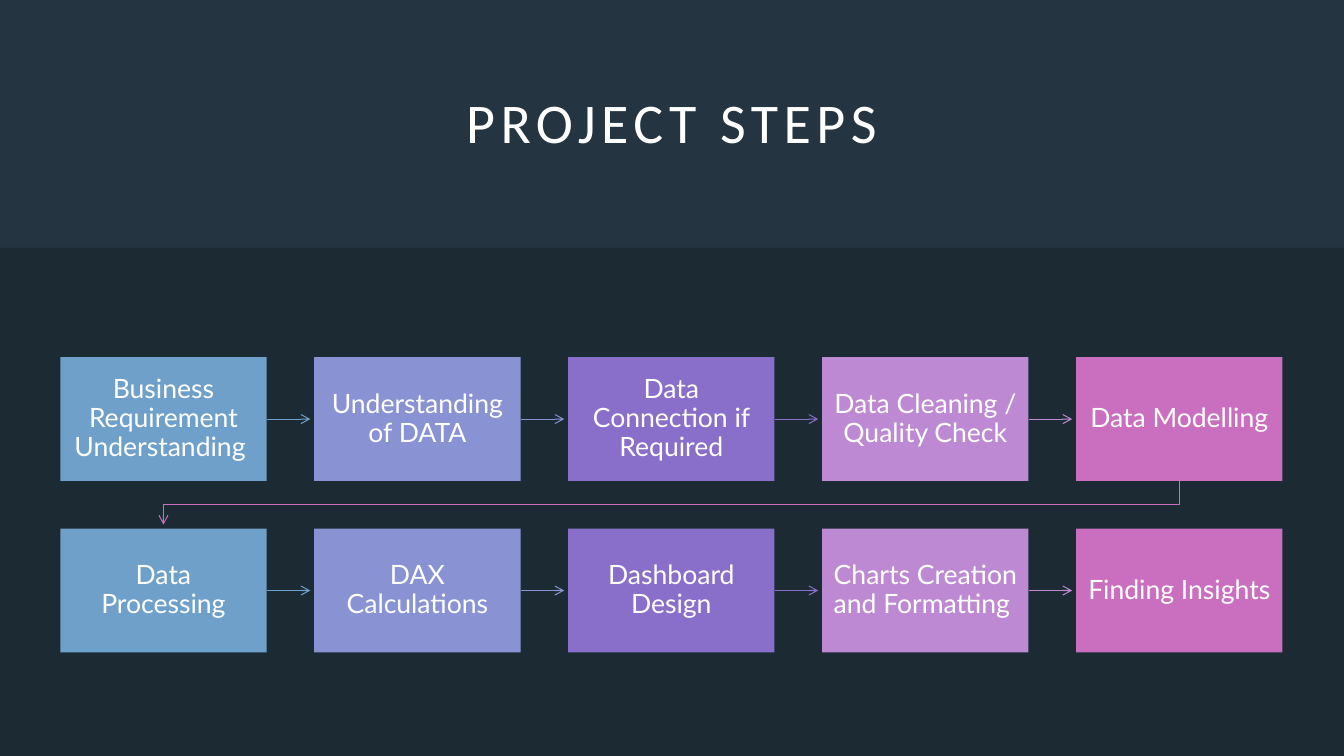
from lxml.etree import SubElement
from pptx import Presentation
from pptx.dml.color import RGBColor
from pptx.enum.shapes import MSO_CONNECTOR as LINK, MSO_SHAPE as SHAPE
from pptx.enum.text import MSO_ANCHOR as ANCHOR, MSO_AUTO_SIZE as FIT, PP_ALIGN as ALIGN
from pptx.oxml.ns import qn
from pptx.util import Cm, Pt

# Content
TITLE = "PROJECT STEPS"
STEPS = [
    ["Business Requirement Understanding ", "Understanding of DATA",
     "Data Connection if Required", "Data Cleaning / Quality Check",
     "Data Modelling"],
    ["Data Processing", "DAX Calculations", "Dashboard Design",
     "Charts Creation and Formatting ", "Finding Insights"],
]
HUES = ["6FA0CA", "8992D3", "896FCA", "BE89D3", "CA6FBF"]
BACK, PANEL, WHITE = "243541", "1C2B33", "FFFFFF"

# Grid of steps
WIDE, HIGH = Cm(33.87), Cm(19.05)
LEFT, TOP = Cm(1.52), Cm(9)
BOX_W, BOX_H = Cm(5.2), Cm(3.12)
STEP_X, STEP_Y = Cm(6.4), Cm(4.32)
GAP = Cm(0.1)  # space between arrow tip and next box


def rgb(code):
    return RGBColor.from_string(code)


def add_box(slide, x, y, w, h, hue):
    box = slide.shapes.add_shape(SHAPE.RECTANGLE, x, y, w, h)
    box.shadow.inherit = False
    box.fill.solid()
    box.fill.fore_color.rgb = rgb(hue)
    box.line.fill.background()
    return box


def set_text(shape, text, font, size, pad_x=0, pad_y=0):
    frame = shape.text_frame
    frame.text = text
    frame.word_wrap = True
    frame.auto_size = FIT.NONE
    frame.vertical_anchor = ANCHOR.MIDDLE
    frame.margin_left = frame.margin_right = pad_x
    frame.margin_top = frame.margin_bottom = pad_y
    para = frame.paragraphs[0]
    para.alignment = ALIGN.CENTER
    run = para.runs[0]
    run.font.name = font
    run.font.size = Pt(size)
    run.font.color.rgb = rgb(WHITE)
    return para


def style_arrow(arrow, hue):
    arrow.line.color.rgb = rgb(hue)
    arrow.line.width = Pt(0.75)
    props = arrow.element.spPr
    SubElement(props.find(qn("a:ln")), qn("a:tailEnd"), type="arrow")
    SubElement(props, qn("a:effectLst"))


def main():
    deck = Presentation()
    deck.slide_width, deck.slide_height = WIDE, HIGH
    slide = deck.slides.add_slide(deck.slide_layouts[5])
    slide.background.fill.solid()
    slide.background.fill.fore_color.rgb = rgb(BACK)

    # Title
    title = slide.shapes.title
    title.left, title.top = Cm(3), Cm(1.5)
    title.width, title.height = Cm(27.86), Cm(3.12)
    para = set_text(title, TITLE, "Calibri", 40)
    para.runs[0].font._element.set("spc", "400")

    # Lower panel
    edge = Cm(6.25)
    add_box(slide, 0, edge, WIDE, HIGH - edge, PANEL)

    # Steps and the arrows between them
    for row, names in enumerate(STEPS):
        y = TOP + row * STEP_Y
        for col, (name, hue) in enumerate(zip(names, HUES)):
            x = LEFT + col * STEP_X
            box = add_box(slide, x, y, BOX_W, BOX_H, hue)
            para = set_text(box, name, "Lato", 19, Cm(0.25), Cm(0.27))
            para.line_spacing = 0.9
            if col < len(names) - 1:
                mid = y + BOX_H // 2
                arrow = slide.shapes.add_connector(
                    LINK.STRAIGHT, x + BOX_W, mid, x + STEP_X - GAP, mid)
                style_arrow(arrow, hue)

    # Bent arrow from the first row to the second
    first = LEFT + BOX_W // 2
    last = first + (len(HUES) - 1) * STEP_X
    base, tip = TOP + BOX_H, TOP + STEP_Y - GAP
    bend = TOP + (BOX_H + STEP_Y) // 2
    path = slide.shapes.build_freeform(last, base)
    path.add_line_segments([(last, bend), (first, bend), (first, tip)], close=False)
    turn = path.convert_to_shape()
    turn.fill.background()
    style_arrow(turn, HUES[-1])

    deck.save("out.pptx")


if __name__ == "__main__":
    main()
